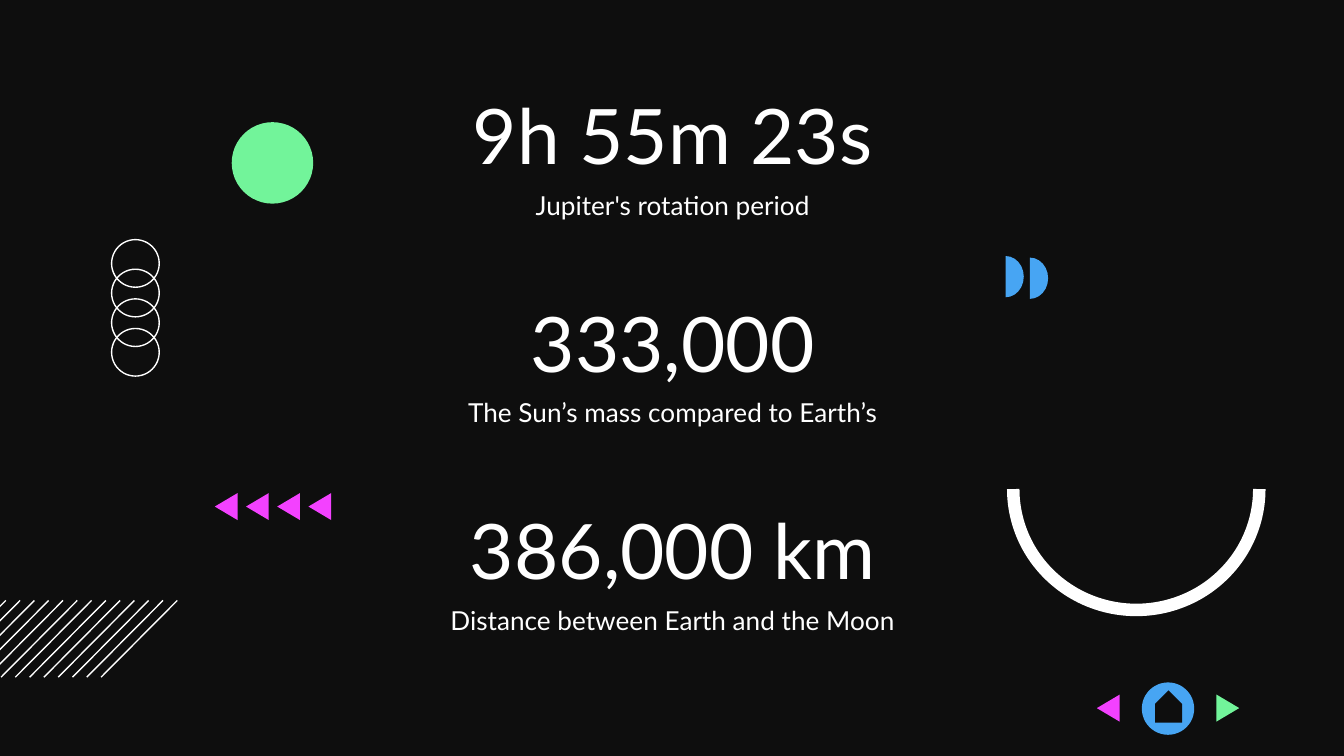
from dataclasses import dataclass

from lxml import etree
from pptx import Presentation
from pptx.dml.color import RGBColor
from pptx.enum.shapes import MSO_CONNECTOR, MSO_SHAPE
from pptx.enum.text import MSO_ANCHOR, MSO_AUTO_SIZE, PP_ALIGN
from pptx.oxml.ns import qn
from pptx.util import Cm, Pt

ELLIPSE = MSO_SHAPE.OVAL
TRIANGLE = MSO_SHAPE.ISOSCELES_TRIANGLE
CHORD = MSO_SHAPE.CHORD
ARC = MSO_SHAPE.ARC
PENTAGON = MSO_SHAPE.PENTAGON

BLACK, WHITE = "0E0E0E", "FFFFFF"
PINK, GREEN, BLUE = "F341FF", "72F49A", "47A5F3"
FONT = "Lato"
ANGLE_UNIT = 0.6  # one degree in adjustment units

TEXT_LEFT, TEXT_WIDTH = 6.58, 12.27
STATISTIC_STEP = 3.92
TRIANGLE_BASE, TRIANGLE_DEPTH = 0.51, 0.43


@dataclass
class Statistic:
    value: str
    caption: str


@dataclass
class Figure:
    """A preset shape; lengths in centimetres, angles in degrees."""
    preset: MSO_SHAPE
    left: float
    top: float
    width: float
    height: float
    fill: str | None = None
    line: str | None = None
    line_width: float = 0.75
    rotation: float = 0
    angles: tuple[float, ...] = ()


STATISTICS = [
    Statistic("9h 55m 23s", "Jupiter's rotation period"),
    Statistic("333,000", "The Sun’s mass compared to Earth’s"),
    Statistic("386,000 km", "Distance between Earth and the Moon"),
]


def color(hex_value: str) -> RGBColor:
    return RGBColor.from_string(hex_value)


def triangle(left: float, top: float, fill: str, rotation: float) -> Figure:
    """Sideways triangle whose visible top-left corner is at left, top."""
    offset = (TRIANGLE_BASE - TRIANGLE_DEPTH) / 2
    return Figure(TRIANGLE, left - offset, top + offset, TRIANGLE_BASE,
                  TRIANGLE_DEPTH, fill, rotation=rotation)


def draw_figure(slide, figure: Figure) -> None:
    shape = slide.shapes.add_shape(
        figure.preset, Cm(figure.left), Cm(figure.top),
        Cm(figure.width), Cm(figure.height))
    shape.shadow.inherit = False
    shape.rotation = figure.rotation
    for index, angle in enumerate(figure.angles):
        shape.adjustments[index] = angle * ANGLE_UNIT
    if figure.fill:
        shape.fill.solid()
        shape.fill.fore_color.rgb = color(figure.fill)
    else:
        shape.fill.background()
    if figure.line:
        shape.line.color.rgb = color(figure.line)
        shape.line.width = Pt(figure.line_width)
    else:
        shape.line.fill.background()


def draw_line(slide, start: tuple[float, float], end: tuple[float, float]) -> None:
    connector = slide.shapes.add_connector(
        MSO_CONNECTOR.STRAIGHT, Cm(start[0]), Cm(start[1]), Cm(end[0]), Cm(end[1]))
    connector.line.color.rgb = color(WHITE)
    connector.line.width = Pt(0.75)
    etree.SubElement(connector._element.spPr, qn("a:effectLst"))


def format_text(shape, text: str, top: float, height: float,
                size: float, inset_top: float) -> None:
    shape.left, shape.top = Cm(TEXT_LEFT), Cm(top)
    shape.width, shape.height = Cm(TEXT_WIDTH), Cm(height)
    frame = shape.text_frame
    frame.word_wrap = True
    frame.auto_size = MSO_AUTO_SIZE.NONE
    frame.vertical_anchor = MSO_ANCHOR.TOP
    frame.margin_left = frame.margin_right = frame.margin_bottom = Cm(0.25)
    frame.margin_top = Cm(inset_top)
    frame.text = text
    paragraph = frame.paragraphs[0]
    paragraph.alignment = PP_ALIGN.CENTER
    paragraph.font.name = FONT
    paragraph.font.size = Pt(size)
    paragraph.font.color.rgb = color(WHITE)


def draw_statistics(slide) -> None:
    """The first value is the slide title; the rest are text boxes."""
    for index, statistic in enumerate(STATISTICS):
        offset = index * STATISTIC_STEP
        value = slide.shapes.title if index == 0 else slide.shapes.add_textbox(0, 0, 0, 0)
        format_text(value, statistic.value, 1.57 + offset, 1.73, 41, 0.1)
        caption = slide.shapes.add_textbox(0, 0, 0, 0)
        format_text(caption, statistic.caption, 3.33 + offset, 1.52, 14, 0.25)


def draw_decorations(slide) -> None:
    for index in range(13):
        right = 3.35 - index * 0.27
        draw_line(slide, (right, 11.35), (right - 1.44, 12.8))

    rings = [Figure(ELLIPSE, 2.11, 4.53 + index * 0.56, 0.9, 0.9, line=WHITE)
             for index in range(4)]
    arrows = [triangle(4.06 + index * 0.59, 9.32, PINK, 270) for index in range(4)]
    half_discs = [Figure(CHORD, 18.66 + index * 0.46, 4.84 + index * 0.03,
                         0.69, 0.78, BLUE, angles=(270, 90))
                  for index in range(2)]
    bowl = Figure(ARC, 19.15, 6.96, 4.65, 4.57, line=WHITE,
                  line_width=6.69, angles=(0, 180))
    disc = Figure(ELLIPSE, 4.38, 2.31, 1.54, 1.54, GREEN)
    for figure in [*rings, *arrows, bowl, disc, *half_discs]:
        draw_figure(slide, figure)


def draw_navigation(slide) -> None:
    for figure in [
        Figure(ELLIPSE, 21.58, 12.9, 0.99, 0.99, BLUE),
        Figure(PENTAGON, 21.78, 13.1, 0.61, 0.51, BLACK, rotation=270),
        triangle(20.73, 13.13, PINK, 270),
        triangle(22.99, 13.13, GREEN, 90),
    ]:
        draw_figure(slide, figure)


def main() -> None:
    presentation = Presentation()
    presentation.slide_width, presentation.slide_height = Cm(25.4), Cm(14.29)
    slide = presentation.slides.add_slide(presentation.slide_layouts[5])
    slide.background.fill.solid()
    slide.background.fill.fore_color.rgb = color(BLACK)
    draw_statistics(slide)
    draw_decorations(slide)
    draw_navigation(slide)
    presentation.save("out.pptx")


if __name__ == "__main__":
    main()
